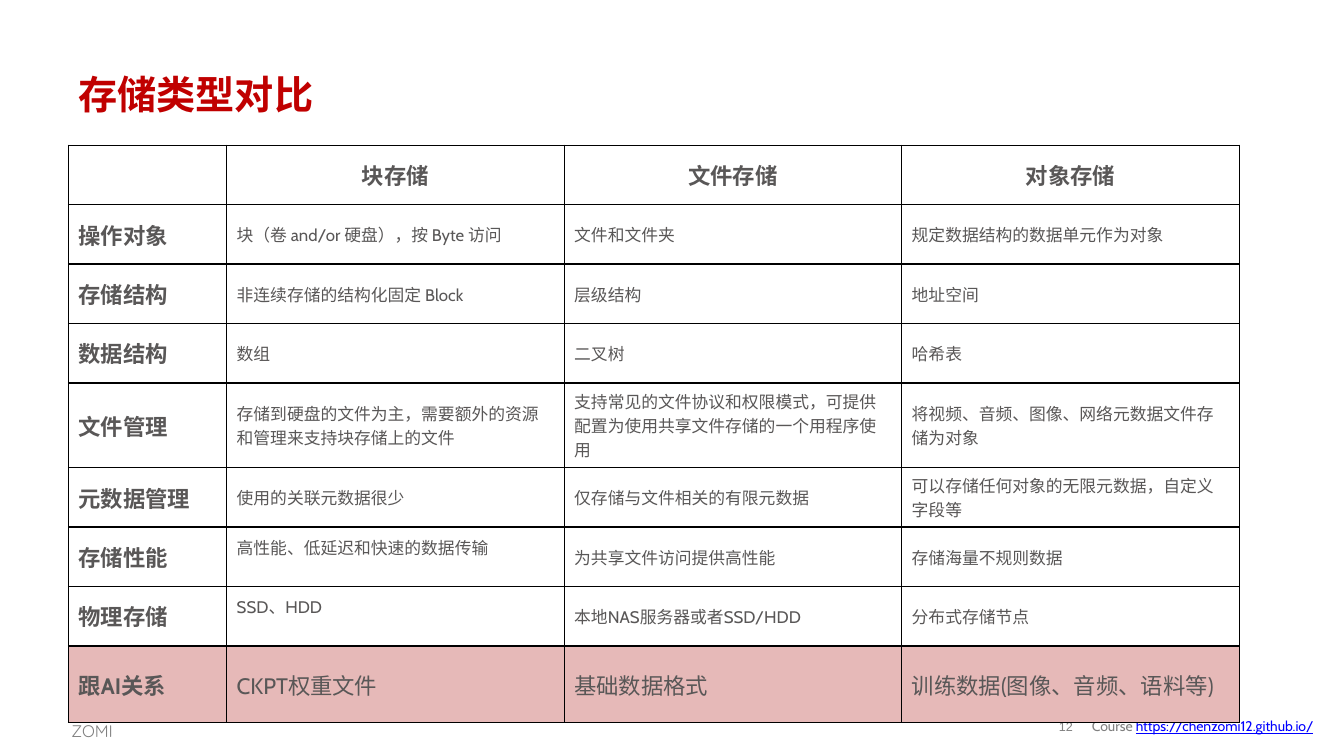
from lxml.etree import SubElement
from pptx import Presentation
from pptx.dml.color import RGBColor
from pptx.enum.text import MSO_ANCHOR, PP_ALIGN
from pptx.oxml.ns import qn
from pptx.util import Inches, Pt

COLORS = {
    "title": "C00000", "body": "595757", "footer": "808080", "link": "0000FF",
    "border": "000000", "plain": "FFFFFF", "highlight": "E6B9B8",
}
COLUMN_WIDTHS = [1.57, 3.35, 3.35, 3.35]
ROW_HEIGHTS = [0.59] * 4 + [0.84] + [0.59] * 3 + [0.76]
COMPARISON = [
    ["", "块存储", "文件存储", "对象存储"],
    ["操作对象", "块（卷 and/or 硬盘），按 Byte 访问", "文件和文件夹",
     "规定数据结构的数据单元作为对象"],
    ["存储结构", "非连续存储的结构化固定 Block", "层级结构", "地址空间"],
    ["数据结构", "数组", "二叉树", "哈希表"],
    ["文件管理", "存储到硬盘的文件为主，需要额外的资源和管理来支持块存储上的文件",
     "支持常见的文件协议和权限模式，可提供配置为使用共享文件存储的一个用程序使用",
     "将视频、音频、图像、网络元数据文件存储为对象"],
    ["元数据管理", "使用的关联元数据很少", "仅存储与文件相关的有限元数据",
     "可以存储任何对象的无限元数据，自定义字段等"],
    ["存储性能", "高性能、低延迟和快速的数据传输", "为共享文件访问提供高性能",
     "存储海量不规则数据"],
    ["物理存储", "SSD、HDD", "本地NAS服务器或者SSD/HDD", "分布式存储节点"],
    ["跟AI关系", "CKPT权重文件", "基础数据格式", "训练数据(图像、音频、语料等)"],
]
RAISED_CELLS = {(6, 1), (7, 1)}


def style_font(font, size, color, face="Cabin", bold=False):
    font.name = face
    font.size = Pt(size)
    font.bold = bold
    font.color.rgb = RGBColor.from_string(COLORS[color])


def add_label(slide, box, text, size, color, face="Cabin", bold=False,
              anchor=MSO_ANCHOR.MIDDLE):
    """Add a one-line text box and return its text frame."""
    frame = slide.shapes.add_textbox(*map(Inches, box)).text_frame
    frame.word_wrap = True
    frame.vertical_anchor = anchor
    frame.text = text
    style_font(frame.paragraphs[0].runs[0].font, size, color, face, bold)
    return frame


def add_borders(cell):
    properties = cell._tc.get_or_add_tcPr()
    for position, side in enumerate(("lnL", "lnR", "lnT", "lnB")):
        line = properties.makeelement(qn(f"a:{side}"), {"w": str(Pt(1))})
        properties.insert(position, line)
        fill = SubElement(line, qn("a:solidFill"))
        SubElement(fill, qn("a:srgbClr"), val=COLORS["border"])


def fill_cell(cell, text, row, column):
    is_last = row == len(COMPARISON) - 1
    is_heading = row == 0 or column == 0
    cell.fill.solid()
    cell.fill.fore_color.rgb = RGBColor.from_string(
        COLORS["highlight" if is_last else "plain"])
    add_borders(cell)
    cell.vertical_anchor = MSO_ANCHOR.MIDDLE
    if (row, column) in RAISED_CELLS:
        cell.margin_bottom = Inches(0.25)
    cell.text = text
    paragraph = cell.text_frame.paragraphs[0]
    if row == 0:
        paragraph.alignment = PP_ALIGN.CENTER
    for run in paragraph.runs:
        style_font(run.font, 16 if is_heading or is_last else 12, "body",
                   bold=is_heading)


def add_comparison_table(slide):
    table = slide.shapes.add_table(
        len(COMPARISON), len(COLUMN_WIDTHS), Inches(0.68), Inches(1.44),
        Inches(sum(COLUMN_WIDTHS)), Inches(sum(ROW_HEIGHTS))).table
    table.first_row = table.horz_banding = False
    for column, width in zip(table.columns, COLUMN_WIDTHS):
        column.width = Inches(width)
    for row, (texts, height) in enumerate(zip(COMPARISON, ROW_HEIGHTS)):
        table.rows[row].height = Inches(height)
        for column, text in enumerate(texts):
            fill_cell(table.cell(row, column), text, row, column)


def add_footer(slide):
    page = add_label(slide, (10.4, 7.06, 0.36, 0.31), "12", 9, "footer", "Arial")
    page.margin_left = page.margin_right = page.margin_top = page.margin_bottom = 0
    page.paragraphs[0].alignment = PP_ALIGN.CENTER
    page.paragraphs[0].line_spacing = 0.85

    author = add_label(slide, (0.61, 7.06, 0.8, 0.32), "ZOMI", 12, "footer",
                       "Quicksand", anchor=MSO_ANCHOR.TOP)
    author.paragraphs[0].line_spacing = 1.2

    course = add_label(slide, (10.74, 7.06, 2.46, 0.29), "Course ", 10, "footer")
    address = course.paragraphs[0].add_run()
    address.text = "https://chenzomi12.github.io/"
    style_font(address.font, 10, "link")
    address.font.underline = True


def main():
    presentation = Presentation()
    presentation.slide_width = Inches(13.34)
    presentation.slide_height = Inches(7.5)
    slide = presentation.slides.add_slide(presentation.slide_layouts[6])
    add_footer(slide)
    add_label(slide, (0.68, 0.61, 11.99, 0.64), "存储类型对比", 28, "title", bold=True)
    add_comparison_table(slide)
    presentation.save("out.pptx")


if __name__ == "__main__":
    main()
